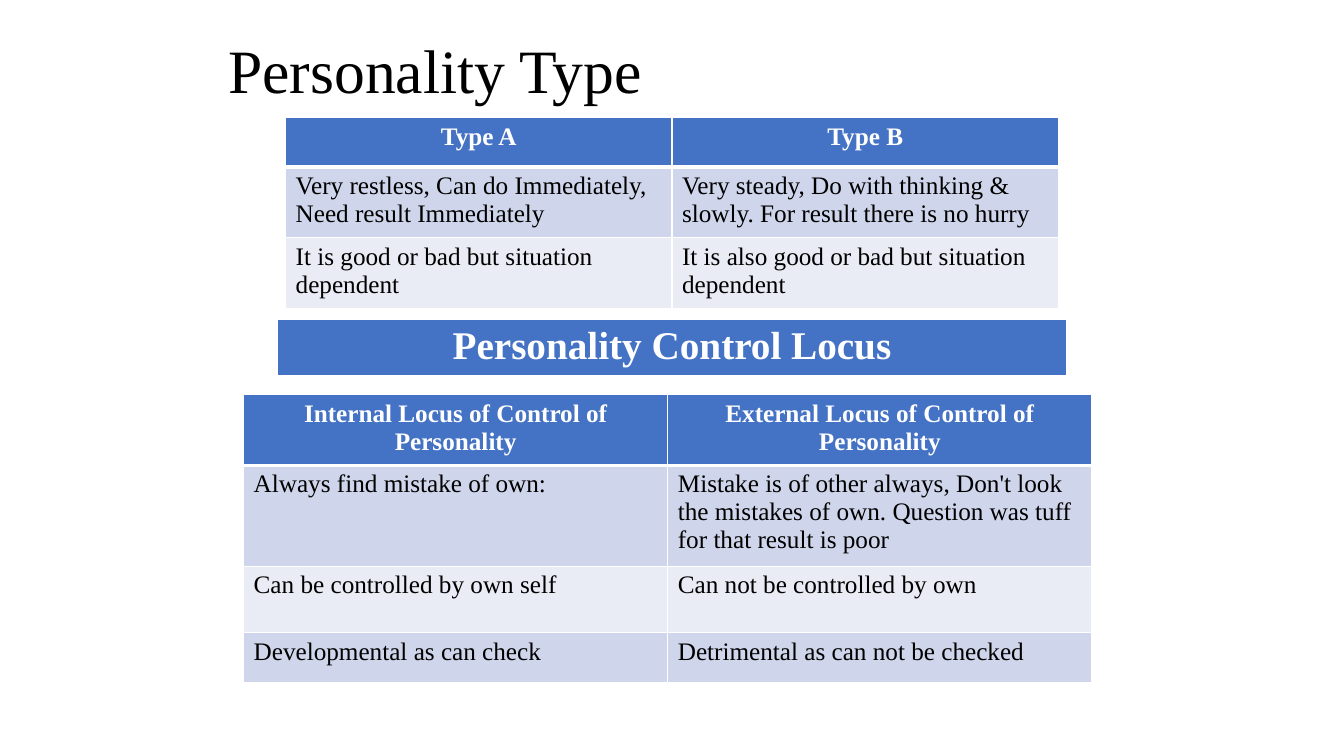
from lxml import etree
from pptx import Presentation
from pptx.dml.color import RGBColor
from pptx.enum.text import MSO_ANCHOR, PP_ALIGN
from pptx.oxml.ns import qn
from pptx.util import Inches, Pt

CENTER, LEFT = PP_ALIGN.CENTER, PP_ALIGN.LEFT
MIDDLE = MSO_ANCHOR.MIDDLE
BLACK = RGBColor(0x00, 0x00, 0x00)
WHITE = RGBColor(0xFF, 0xFF, 0xFF)
HEADER_BLUE = RGBColor(0x44, 0x72, 0xC4)
BAND_COLORS = (RGBColor(0xCF, 0xD5, 0xEA), RGBColor(0xE9, 0xEB, 0xF5))
COLUMNS, ROWS = 160, 90
THIN, THICK = 1, 3

TYPES = [
    ("Type A", "Type B"),
    ("Very restless, Can do Immediately, Need result Immediately",
     "Very steady, Do with thinking & slowly. For result there is no hurry"),
    ("It is good or bad but situation dependent",
     "It is also good or bad but situation dependent"),
]
LOCUS_HEADING = [("Personality Control Locus",)]
LOCUS = [
    ("Internal Locus of Control of Personality",
     "External Locus of Control of Personality"),
    ("Always find mistake of own:",
     "Mistake is of other always, Don't look the mistakes of own. "
     "Question was tuff for that result is poor"),
    ("Can be controlled by own self", "Can not be controlled by own"),
    ("Developmental as can check", "Detrimental as can not be checked"),
]


class GridSlide:
    font_name = "Times New Roman"

    def __init__(self, presentation):
        self.slide = presentation.slides.add_slide(presentation.slide_layouts[6])
        self.column = presentation.slide_width / COLUMNS
        self.row = presentation.slide_height / ROWS

    def place(self, left, top, width, height):
        return (round(left * self.column), round(top * self.row),
                round(width * self.column), round(height * self.row))

    def style(self, paragraph, size, color, bold=False, align=LEFT):
        paragraph.alignment = align
        for run in paragraph.runs:
            run.font.name = self.font_name
            run.font.size = Pt(size)
            run.font.bold = bold
            run.font.color.rgb = color

    def title(self, text, left, top, width, height):
        frame = self.slide.shapes.add_textbox(
            *self.place(left, top, width, height)).text_frame
        frame.word_wrap = True
        frame.vertical_anchor = MIDDLE
        frame.text = text
        frame.paragraphs[0].line_spacing = 0.9
        self.style(frame.paragraphs[0], 44, BLACK)

    def border(self, cell, top, bottom):
        properties = cell._tc.get_or_add_tcPr()
        edges = (("a:lnL", THIN), ("a:lnR", THIN), ("a:lnT", top), ("a:lnB", bottom))
        for position, (edge, width) in enumerate(edges):
            line = etree.Element(qn(edge), w=str(Pt(width)))
            fill = etree.SubElement(line, qn("a:solidFill"))
            etree.SubElement(fill, qn("a:srgbClr"), val=str(WHITE))
            properties.insert(position, line)

    def table(self, content, left, top, width, heights, size=18):
        table = self.slide.shapes.add_table(
            len(content), len(content[0]),
            *self.place(left, top, width, sum(heights))).table
        table.first_row = table.horz_banding = False
        for index, (texts, height) in enumerate(zip(content, heights)):
            table.rows[index].height = round(height * self.row)
            header = index == 0
            for cell, text in zip(table.rows[index].cells, texts):
                cell.text = text
                cell.fill.solid()
                cell.fill.fore_color.rgb = (
                    HEADER_BLUE if header else BAND_COLORS[(index - 1) % 2])
                self.style(cell.text_frame.paragraphs[0], size,
                           WHITE if header else BLACK, header,
                           CENTER if header else LEFT)
                self.border(cell, THICK if index == 1 else THIN,
                            THICK if header else THIN)


def main():
    presentation = Presentation()
    presentation.slide_width = Inches(13.33)
    presentation.slide_height = Inches(7.5)
    personality = GridSlide(presentation)
    personality.title("Personality Type", 26, 3.6, 108, 10.4)
    personality.table(TYPES, 34, 14, 92, (5.9, 7.8, 7.8))
    personality.table(LOCUS_HEADING, 33, 38, 94, (6.2,), size=28)
    personality.table(LOCUS, 29, 47, 101, (7.9, 11.1, 7.9, 5.9))
    presentation.save("out.pptx")


if __name__ == "__main__":
    main()
